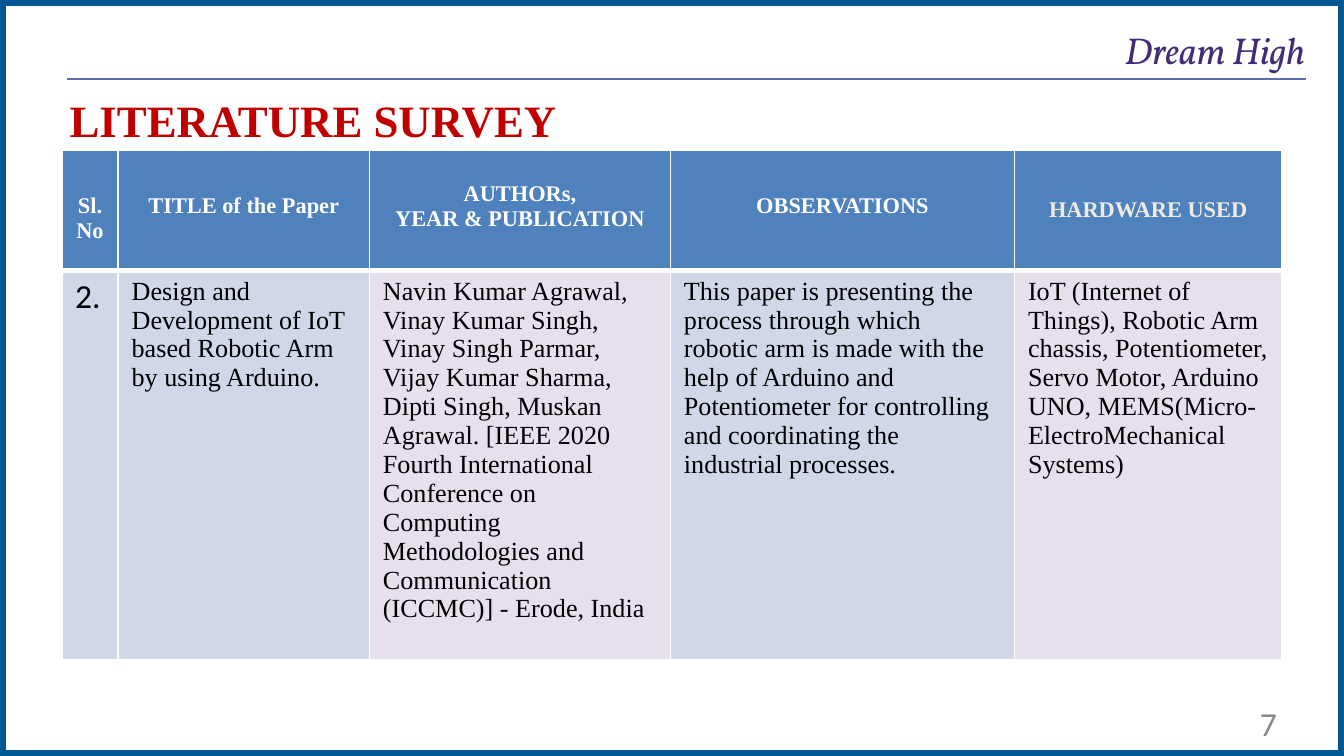
from lxml.etree import SubElement
from pptx import Presentation
from pptx.dml.color import RGBColor
from pptx.enum.shapes import MSO_CONNECTOR, MSO_SHAPE
from pptx.enum.text import MSO_ANCHOR, PP_ALIGN
from pptx.oxml import parse_xml
from pptx.oxml.ns import nsdecls, qn
from pptx.util import Inches, Pt

COLORS = {
    "white": "FFFFFF", "frame": "005893", "rule": "5E6DB3",
    "motto": "422C75", "heading": "C00000", "number": "898989",
    "header": "4F81BD", "header_soft": "EEECE1", "text": "000000",
    "blue_cell": "D0D8E8", "violet_cell": "E6E0EC",
}
SERIF = "Times New Roman"

# Column width, header, header text colour, space above header, entry, entry fill
COLUMNS = [
    (0.42, "Sl. No", "white", 0.32, "2.", "blue_cell"),
    (1.87, "TITLE of the Paper", "white", 0.32,
     "Design and Development of IoT based Robotic Arm by using Arduino.",
     "blue_cell"),
    (2.24, "AUTHORs,\nYEAR & PUBLICATION", "white", 0.23,
     "Navin Kumar Agrawal, Vinay Kumar Singh, Vinay Singh Parmar, "
     "Vijay Kumar Sharma, Dipti Singh, Muskan Agrawal. [IEEE 2020 Fourth "
     "International Conference on Computing Methodologies and Communication "
     "(ICCMC)] - Erode, India", "violet_cell"),
    (2.56, "OBSERVATIONS", "white", 0.32,
     "This paper is presenting the process through which robotic arm is made "
     "with the help of Arduino and Potentiometer for controlling and "
     "coordinating the industrial processes.", "blue_cell"),
    (1.99, "HARDWARE USED", "header_soft", 0.35,
     "IoT (Internet of Things), Robotic Arm chassis, Potentiometer, "
     "Servo Motor, Arduino UNO, MEMS(Micro-ElectroMechanical Systems)",
     "violet_cell"),
]
ROW_HEIGHTS = (0.89, 2.9)


def rgb(name):
    return RGBColor.from_string(COLORS[name])


def write(frame, text, size, font, color, bold=False, italic=False,
          align=PP_ALIGN.LEFT):
    frame.text = text
    frame.word_wrap = True
    for paragraph in frame.paragraphs:
        paragraph.alignment = align
        for run in paragraph.runs:
            run.font.size = Pt(size)
            run.font.name = font
            run.font.bold = bold
            run.font.italic = italic
            run.font.color.rgb = rgb(color)


def set_insets(frame, inset):
    frame.margin_left = frame.margin_right = Inches(inset)
    frame.margin_top = frame.margin_bottom = Inches(inset)


def add_frame(slide, left, top, width, height):
    """Draw the bordered page behind everything else."""
    page = slide.shapes.add_shape(MSO_SHAPE.RECTANGLE, left, top, width, height)
    page.shadow.inherit = False
    page.fill.solid()
    page.fill.fore_color.rgb = rgb("white")
    page.line.color.rgb = rgb("frame")
    page.line.width = Pt(6)
    slide.shapes.title.element.addprevious(page.element)


def add_masthead(slide, left, top, width, height):
    """Place the motto at the right, above a full-width rule."""
    right, bottom = left + width, top + height
    motto = slide.shapes.title
    motto.left, motto.top = right - Inches(2.22), top
    motto.width, motto.height = Inches(2.21), Inches(0.34)
    write(motto.text_frame, "Dream High", 20, "Vollkorn", "motto",
          italic=True, align=PP_ALIGN.RIGHT)
    set_insets(motto.text_frame, 0)
    rule = slide.shapes.add_connector(MSO_CONNECTOR.STRAIGHT,
                                      left, bottom, right, bottom)
    rule.line.color.rgb = rgb("rule")
    rule.line.width = Pt(1.25)
    SubElement(rule.element.spPr, qn("a:effectLst"))


def add_heading(slide, left, top, width, height):
    heading = slide.shapes.add_textbox(left, top, width, height)
    write(heading.text_frame, "LITERATURE SURVEY", 24, SERIF, "heading", bold=True)


def add_page_number(slide, left, top, width, height):
    number = slide.shapes.add_textbox(left, top, width, height)
    write(number.text_frame, "7", 18, "Calibri", "number", align=PP_ALIGN.RIGHT)
    set_insets(number.text_frame, 0)


def style_cell(cell, fill, top_margin, borders):
    """Fill a cell and give it white borders of the given widths in points."""
    cell.vertical_anchor = MSO_ANCHOR.TOP
    cell.margin_left = cell.margin_right = Inches(0.1)
    cell.margin_top, cell.margin_bottom = Inches(top_margin), Inches(0.05)
    cell.fill.solid()
    cell.fill.fore_color.rgb = rgb(fill)
    properties = cell._tc.get_or_add_tcPr()
    for position, (side, points) in enumerate(borders.items()):
        properties.insert(position, parse_xml(
            f'<a:ln{side} {nsdecls("a")} w="{Pt(points)}"><a:solidFill>'
            f'<a:srgbClr val="{COLORS["white"]}"/></a:solidFill></a:ln{side}>'))


def add_survey_table(slide, left, top):
    width = Inches(sum(column[0] for column in COLUMNS))
    table = slide.shapes.add_table(len(ROW_HEIGHTS), len(COLUMNS), left, top,
                                   width, Inches(sum(ROW_HEIGHTS))).table
    for row, height in zip(table.rows, ROW_HEIGHTS):
        row.height = Inches(height)
    for index, (width, title, color, space, entry, fill) in enumerate(COLUMNS):
        table.columns[index].width = Inches(width)
        header, body = table.cell(0, index), table.cell(1, index)
        write(header.text_frame, title, 12, SERIF, color, bold=True,
              align=PP_ALIGN.CENTER)
        style_cell(header, "header", space, {"L": 1, "R": 1, "T": 1, "B": 3})
        size, font = (18, "Calibri") if index == 0 else (14, SERIF)
        write(body.text_frame, entry, size, font, "text")
        style_cell(body, fill, 0.05, {"L": 1, "R": 1, "T": 3, "B": 1})


def main():
    deck = Presentation()
    deck.slide_width, deck.slide_height = Inches(10), Inches(10 * 9 / 16)
    slide = deck.slides.add_slide(deck.slide_layouts[5])
    add_frame(slide, 0, 0, deck.slide_width, deck.slide_height)
    add_masthead(slide, Inches(0.5), Inches(0.2), Inches(9.22), Inches(0.39))
    add_heading(slide, Inches(0.42), Inches(0.64), Inches(4), Inches(0.51))
    add_survey_table(slide, Inches(0.46), Inches(1.12))
    add_page_number(slide, Inches(7.2), Inches(5.23), Inches(2.3), Inches(0.3))
    deck.save("out.pptx")


if __name__ == "__main__":
    main()
